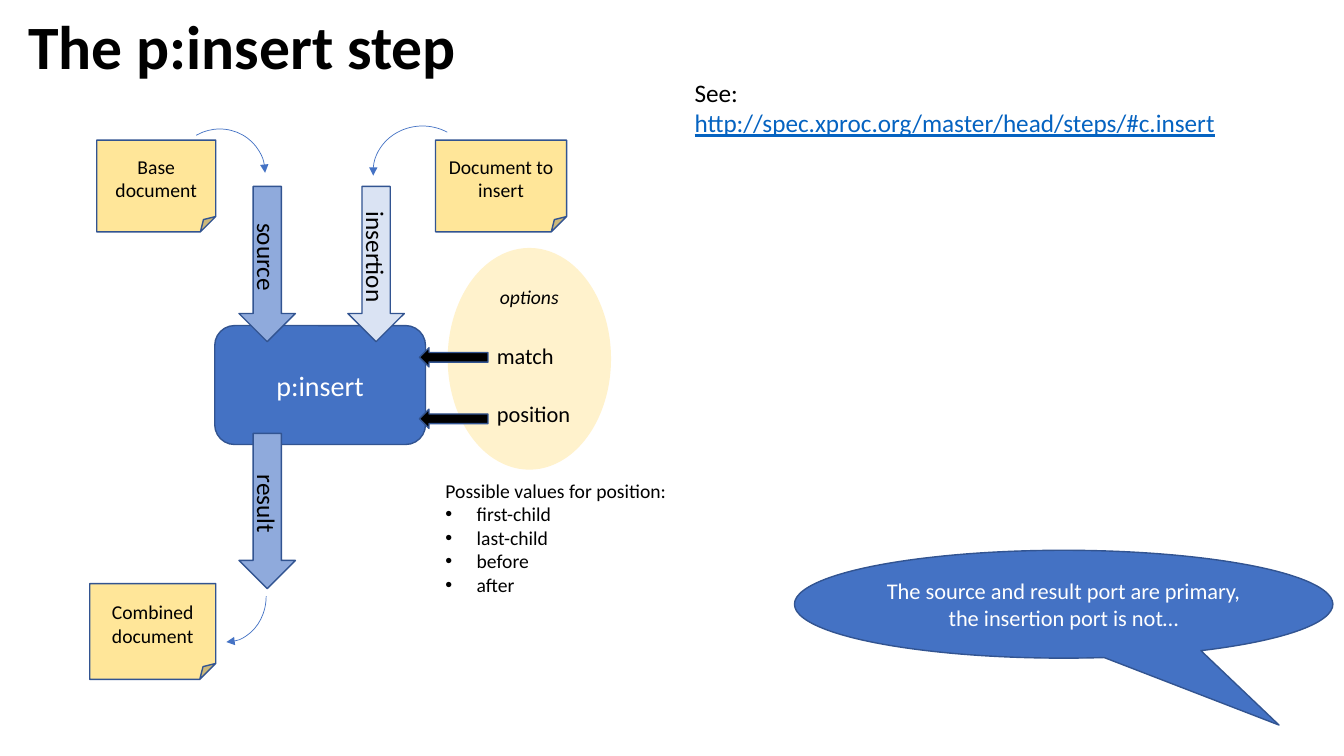
from lxml import etree
from pptx import Presentation
from pptx.dml.color import RGBColor
from pptx.enum.shapes import MSO_SHAPE
from pptx.enum.text import MSO_ANCHOR, MSO_AUTO_SIZE, PP_ALIGN
from pptx.oxml.ns import qn
from pptx.util import Inches, Pt

LEFT, CENTER = PP_ALIGN.LEFT, PP_ALIGN.CENTER
TOP, MIDDLE = MSO_ANCHOR.TOP, MSO_ANCHOR.MIDDLE
COLORS = {
    "black": "000000", "white": "FFFFFF", "blue": "4472C4", "outline": "325491",
    "primary": "8FAADC", "secondary": "DAE3F3", "note": "FFE699",
    "options": "FFF2CC", "link": "0563C1",
}


def rgb(name):
    return RGBColor.from_string(COLORS[name])


def write(shape, text, size=14, color="black", align=CENTER, anchor=MIDDLE,
          bold=False, italic=False):
    """Fill a shape with text, one paragraph per line, and return its frame."""
    frame = shape.text_frame
    frame.word_wrap = True
    frame.vertical_anchor = anchor
    frame.text = text
    for paragraph in frame.paragraphs:
        paragraph.alignment = align
        font = paragraph.runs[0].font
        font.name, font.size = "Calibri", Pt(size)
        font.bold, font.italic = bold, italic
        font.color.rgb = rgb(color)
    return frame


prs = Presentation()
prs.slide_width, prs.slide_height = Inches(13.33), Inches(7.5)
slide = prs.slides.add_slide(prs.slide_layouts[5])
shapes = slide.shapes

title = shapes.title
title.left, title.top = Inches(0.18), Inches(0.11)
title.width, title.height = Inches(7.48), Inches(0.77)
title_frame = write(title, "The p:insert step", size=44, align=LEFT, bold=True)
title_frame.auto_size = MSO_AUTO_SIZE.NONE
title_frame.paragraphs[0].line_spacing = 0.9

# Filled shapes, back to front: preset, box, fill, outline, rotation, text, format
port = {"size": 18}
blocks = [
    (MSO_SHAPE.OVAL, (4.44, 2.46, 1.62, 2.2), "options", None, 0,
     "options", {"italic": True, "anchor": TOP}),
    (MSO_SHAPE.ROUNDED_RECTANGLE, (2.13, 3.23, 2.09, 1.18), "blue", "outline", 0,
     "p:insert", {"size": 20, "color": "white"}),
    (MSO_SHAPE.LEFT_ARROW, (4.16, 3.45, 0.68, 0.19), "black", "outline", 0, "", {}),
    (MSO_SHAPE.LEFT_ARROW, (4.16, 4.06, 0.68, 0.19), "black", "outline", 0, "", {}),
    (MSO_SHAPE.RIGHT_ARROW, (1.88, 2.34, 1.54, 0.56), "primary", "outline", 90,
     "source", port),
    (MSO_SHAPE.RIGHT_ARROW, (2.96, 2.34, 1.54, 0.56), "secondary", "outline", 90,
     "insertion", port),
    (MSO_SHAPE.RIGHT_ARROW, (1.88, 4.79, 1.54, 0.56), "primary", "outline", 90,
     "result", port),
    (MSO_SHAPE.FOLDED_CORNER, (0.96, 1.39, 1.18, 0.91), "note", "outline", 0,
     "Base\ndocument", {}),
    (MSO_SHAPE.FOLDED_CORNER, (4.32, 1.39, 1.3, 0.91), "note", "outline", 0,
     "Document to insert", {}),
    (MSO_SHAPE.FOLDED_CORNER, (0.89, 5.79, 1.25, 0.95), "note", "outline", 0,
     "Combined document", {}),
    (MSO_SHAPE.OVAL_CALLOUT, (7.88, 5.46, 5.34, 1.07), "blue", "outline", 0,
     "The source and result port are primary, the insertion port is not…",
     {"size": 16, "color": "white"}),
]
for preset, box, fill, outline, rotation, text, text_format in blocks:
    block = shapes.add_shape(preset, *map(Inches, box))
    block.shadow.inherit = False
    block.rotation = rotation
    block.fill.solid()
    block.fill.fore_color.rgb = rgb(fill)
    if outline:
        block.line.color.rgb = rgb(outline)
        block.line.width = Pt(1)
    else:
        block.line.fill.background()
    if preset == MSO_SHAPE.OVAL_CALLOUT:
        block.adjustments[0], block.adjustments[1] = 0.4, 1.12
    if text:
        write(block, text, **text_format)

# Curved arrows between documents and ports: box, angles, flip, arrowhead end
flows = [
    ((1.73, 1.28, 0.9, 0.87), (142.79, 0), None, "tailEnd"),
    ((3.7, 1.25, 0.98, 0.91), (142.79, 2.68), "flipH", "tailEnd"),
    ((1.85, 5.46, 0.79, 0.91), (162, 0), "flipV", "headEnd"),
]
for box, angles, flip, arrow_end in flows:
    flow = shapes.add_shape(MSO_SHAPE.ARC, *map(Inches, box))
    flow.shadow.inherit = False
    flow.fill.background()
    flow.line.color.rgb = rgb("blue")
    flow.line.width = Pt(0.5)
    flow.adjustments[0], flow.adjustments[1] = angles
    if flip:
        flow._element.spPr.find(qn("a:xfrm")).set(flip, "1")
    outline_xml = flow._element.spPr.find(qn("a:ln"))
    etree.SubElement(outline_xml, qn(f"a:{arrow_end}"), type="triangle")

position_values = ["first-child", "last-child", "before", "after"]
labels = [
    ((4.83, 3.35, 1.59, 0.37), "match", 16),
    ((4.83, 3.92, 1.59, 0.37), "position", 16),
    ((6.79, 0.72, 5.72, 1.01), "See: ", 18),
    ((4.32, 4.7, 2.74, 1.28),
     "\n".join(["Possible values for position:"] + position_values), 14),
]
for box, text, size in labels:
    label = shapes.add_textbox(*map(Inches, box))
    frame = write(label, text, size=size, align=LEFT, anchor=TOP)
    frame.auto_size = MSO_AUTO_SIZE.SHAPE_TO_FIT_TEXT

    if text == "See: ":
        address = frame.paragraphs[0].add_run()
        address.text = "http://spec.xproc.org/master/head/steps/#c.insert"
        address.font.name, address.font.size = "Calibri", Pt(size)
        address.font.underline = True
        address.font.color.rgb = rgb("link")

    for value in frame.paragraphs[1:]:
        properties = value._p.get_or_add_pPr()
        properties.set("marL", str(Inches(0.31)))
        properties.set("indent", str(-Inches(0.31)))
        etree.SubElement(properties, qn("a:buFont"), typeface="Arial")
        etree.SubElement(properties, qn("a:buChar"), char="•")

prs.save("out.pptx")
